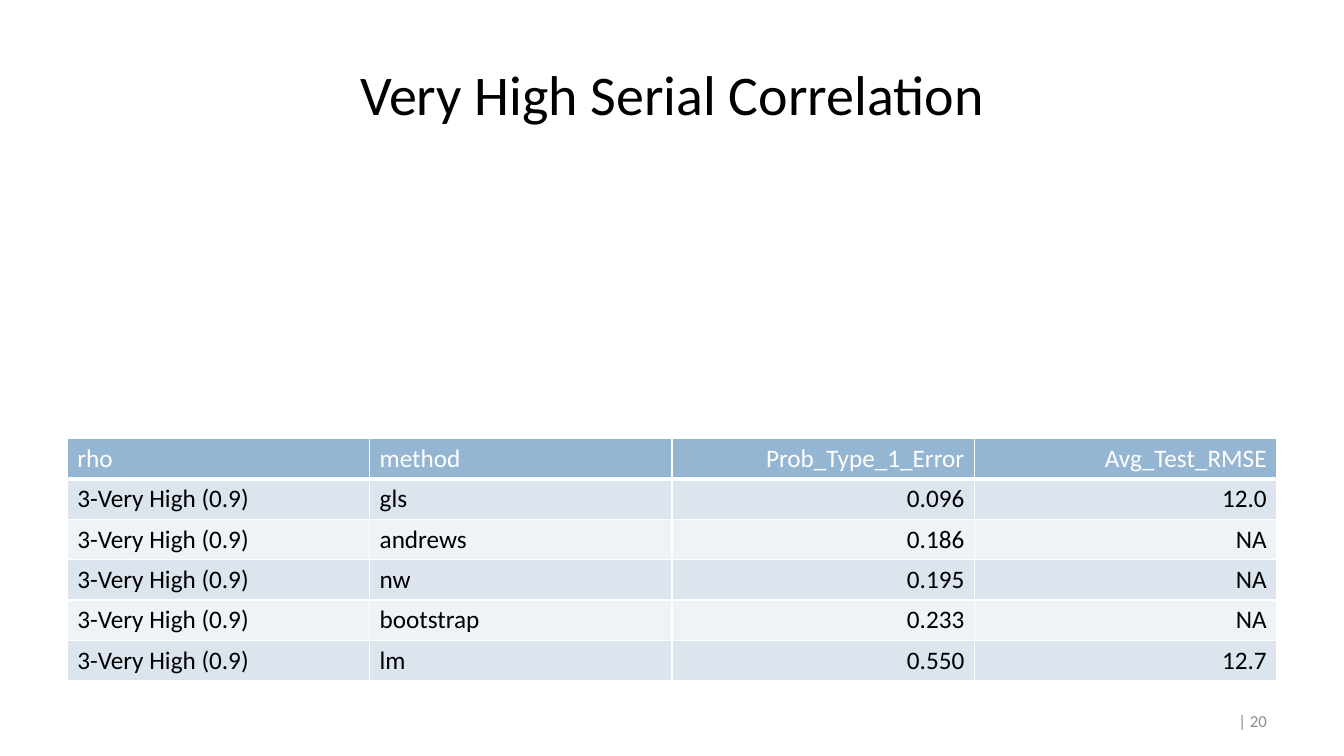
import pptx
import pptx.dml.color
import pptx.enum.text
import pptx.oxml
import pptx.oxml.ns
import pptx.util

ALIGN = pptx.enum.text.PP_ALIGN
WHITE, BLACK, GREY = "FFFFFF", "000000", "8C8C8C"
HEAD, BANDS = "94B6D2", ("DCE5EE", "EEF3F7")
RHO = "3-Very High (0.9)"
RESULTS = [
    ("rho", "method", "Prob_Type_1_Error", "Avg_Test_RMSE"),
    (RHO, "gls", "0.096", "12.0"),
    (RHO, "andrews", "0.186", "NA"),
    (RHO, "nw", "0.195", "NA"),
    (RHO, "bootstrap", "0.233", "NA"),
    (RHO, "lm", "0.550", "12.7"),
]


def color(code):
    return pptx.dml.color.RGBColor.from_string(code)


class Deck:
    """Places styled elements on a slide with a grid of 20 columns and 150 rows."""

    def __init__(self, font):
        self.font = font
        self.show = pptx.Presentation()
        self.show.slide_width = pptx.util.Inches(13.33)
        self.show.slide_height = pptx.util.Inches(7.5)
        self.slide = self.show.slides.add_slide(self.show.slide_layouts[6])

    def place(self, col, row, wide, high):
        across, down = self.show.slide_width / 20, self.show.slide_height / 150
        return [round(n) for n in (col * across, row * down, wide * across, high * down)]

    def label(self, para, text, size, ink, align):
        para.text = text
        para.alignment = align
        para.font.name = self.font
        para.font.size = pptx.util.Pt(size)
        para.font.bold = False
        para.font.color.rgb = color(ink)

    def text(self, text, spot, size, ink, align):
        frame = self.slide.shapes.add_textbox(*self.place(*spot)).text_frame
        frame.word_wrap = True
        frame.vertical_anchor = pptx.enum.text.MSO_ANCHOR.MIDDLE
        self.label(frame.paragraphs[0], text, size, ink, align)

    def edge(self, cell, side, width):
        cell._tc.get_or_add_tcPr().append(pptx.oxml.parse_xml(
            f'<a:{side} {pptx.oxml.ns.nsdecls("a")} w="{pptx.util.Pt(width)}">'
            f'<a:solidFill><a:srgbClr val="{WHITE}"/></a:solidFill></a:{side}>'))

    def table(self, data, spot, size):
        shape = self.slide.shapes.add_table(len(data), len(data[0]), *self.place(*spot))
        for row, items in enumerate(data):
            fill = BANDS[(row - 1) % 2] if row else HEAD
            for col, item in enumerate(items):
                cell = shape.table.cell(row, col)
                for side in ("lnL", "lnR", "lnT", "lnB"):
                    self.edge(cell, side, 3 if side == "lnB" and row == 0 else 1)
                cell.fill.solid()
                cell.fill.fore_color.rgb = color(fill)
                self.label(cell.text_frame.paragraphs[0], item, size,
                           BLACK if row else WHITE,
                           ALIGN.RIGHT if col > 1 else ALIGN.LEFT)


def main():
    deck = Deck("Calibri")
    deck.text("| 20", (17.75, 139, 1.25, 8), 12, GREY, ALIGN.RIGHT)
    deck.text("Very High Serial Correlation", (1, 6, 18, 25), 40, BLACK, ALIGN.CENTER)
    deck.table(RESULTS, (1, 87, 18, 47), 18)
    deck.show.save("out.pptx")


if __name__ == "__main__":
    main()
